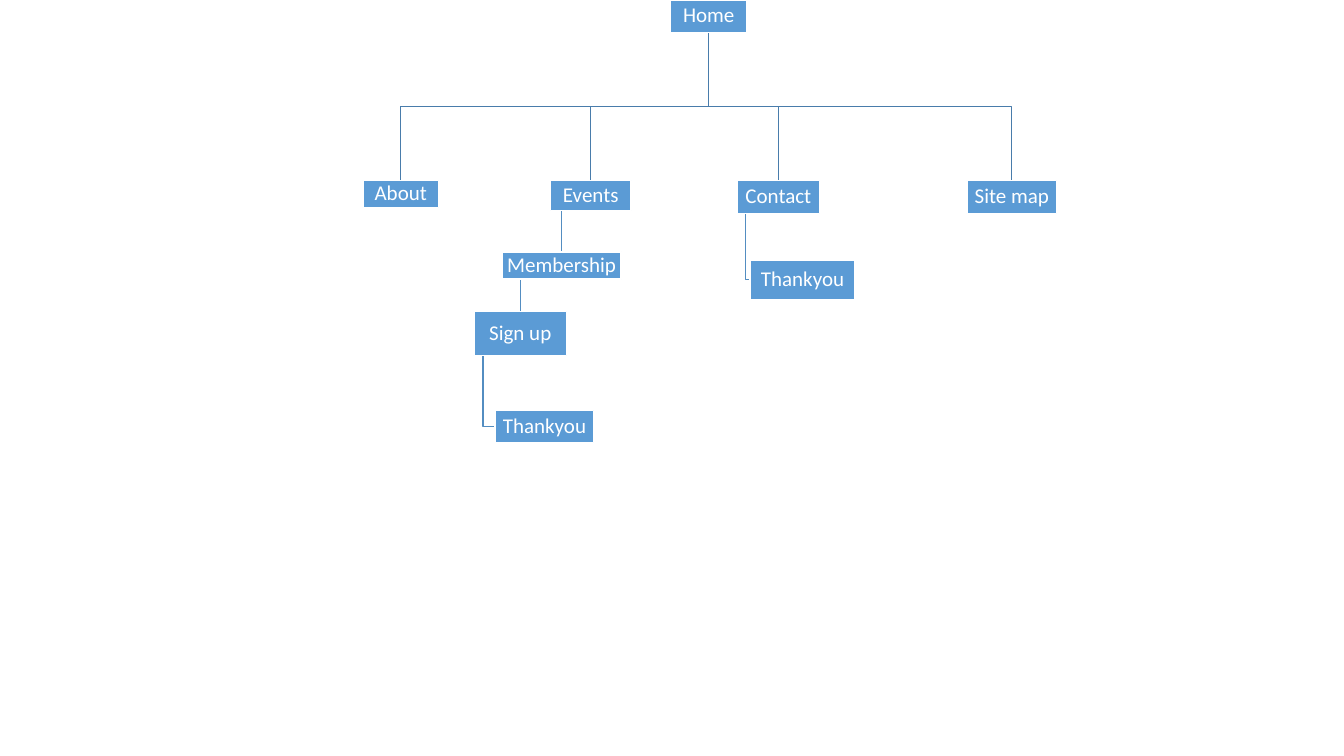
from dataclasses import dataclass

from pptx import Presentation
from pptx.dml.color import RGBColor
from pptx.enum.shapes import MSO_SHAPE
from pptx.enum.text import MSO_ANCHOR, PP_ALIGN
from pptx.util import Inches, Pt

# Pages of the site: key -> (label, left, top, width, height) in inches
PAGES = {
    "home": ("Home", 6.65, 0, 0.76, 0.32),
    "about": ("About", 3.6, 1.79, 0.75, 0.27),
    "events": ("Events", 5.46, 1.79, 0.8, 0.3),
    "membership": ("Membership", 4.98, 2.5, 1.18, 0.27),
    "sign up": ("Sign up", 4.7, 3.09, 0.92, 0.44),
    "signed up": ("Thankyou", 4.91, 4.07, 0.98, 0.32),
    "contact": ("Contact", 7.31, 1.79, 0.82, 0.33),
    "contacted": ("Thankyou", 7.44, 2.58, 1.04, 0.39),
    "site map": ("Site map", 9.59, 1.79, 0.89, 0.33),
}

# Parent, child, route of the line between them
LINKS = [
    ("home", "site map", "branch"),
    ("contact", "contacted", "side"),
    ("home", "contact", "branch"),
    ("sign up", "signed up", "side"),
    ("membership", "sign up", "drop"),
    ("events", "membership", "drop"),
    ("home", "events", "branch"),
    ("home", "about", "branch"),
]


@dataclass(frozen=True)
class Theme:
    box: RGBColor = RGBColor(0x5B, 0x9B, 0xD5)
    white: RGBColor = RGBColor(0xFF, 0xFF, 0xFF)
    main_line: RGBColor = RGBColor(0x49, 0x7C, 0xAB)
    sub_line: RGBColor = RGBColor(0x53, 0x8D, 0xC1)
    line_width: Pt = Pt(1)
    font: str = "Calibri"
    size: Pt = Pt(15)


THEME = Theme()


def route_points(parent, child, route):
    """Corner points, in inches, from the parent box to the child box."""
    _, left, top, width, height = PAGES[parent]
    _, child_left, child_top, child_width, child_height = PAGES[child]
    middle, bottom = left + width / 2, top + height
    child_middle = child_left + child_width / 2
    if route == "side":
        stem, level = left + width / 10, child_top + child_height / 2
        return [(stem, bottom), (stem, level), (child_left, level)]
    if route == "drop":
        return [(middle, bottom), (child_middle, bottom), (child_middle, child_top)]
    level = (bottom + child_top) / 2
    return [(middle, bottom), (middle, level),
            (child_middle, level), (child_middle, child_top)]


def add_link(slide, parent, child, route):
    points = [(Inches(x), Inches(y)) for x, y in route_points(parent, child, route)]
    builder = slide.shapes.build_freeform(*points[0])
    builder.add_line_segments(points[1:], close=False)
    link = builder.convert_to_shape()
    link.shadow.inherit = False
    link.fill.background()
    link.line.color.rgb = THEME.main_line if route == "branch" else THEME.sub_line
    link.line.width = THEME.line_width


def add_page_box(slide, label, *place):
    box = slide.shapes.add_shape(MSO_SHAPE.RECTANGLE, *map(Inches, place))
    box.shadow.inherit = False
    box.fill.solid()
    box.fill.fore_color.rgb = THEME.box
    box.line.color.rgb = THEME.white
    box.line.width = THEME.line_width
    frame = box.text_frame
    frame.word_wrap = True
    frame.vertical_anchor = MSO_ANCHOR.MIDDLE
    frame.margin_left = frame.margin_right = Inches(0.01)
    frame.margin_top = frame.margin_bottom = Inches(0.01)
    para = frame.paragraphs[0]
    para.text = label
    para.alignment = PP_ALIGN.CENTER
    para.line_spacing = 0.9
    para.font.name = THEME.font
    para.font.size = THEME.size
    para.font.color.rgb = THEME.white


def main():
    deck = Presentation()
    deck.slide_width, deck.slide_height = Inches(13.33), Inches(7.5)
    slide = deck.slides.add_slide(deck.slide_layouts[6])

    # Lines lie behind the boxes
    for link in LINKS:
        add_link(slide, *link)
    for page in PAGES.values():
        add_page_box(slide, *page)

    deck.save("out.pptx")


if __name__ == "__main__":
    main()
